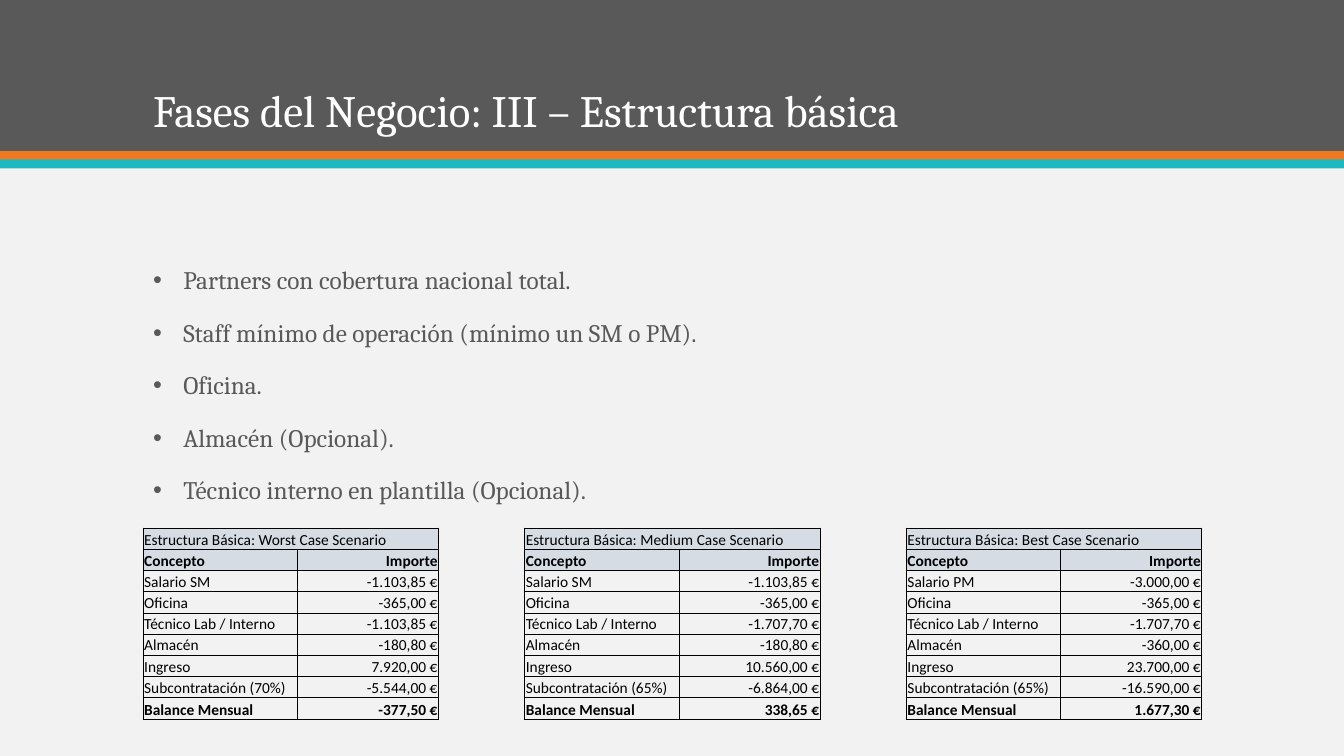
from dataclasses import dataclass
from typing import Any

from lxml import etree
from pptx import Presentation
from pptx import util as u
from pptx.dml.color import RGBColor
from pptx.enum import shapes, text
from pptx.oxml import ns

WHITE = RGBColor(0xFF, 0xFF, 0xFF)
BLACK = RGBColor(0, 0, 0)
GREY = RGBColor(0x59, 0x59, 0x59)
ORANGE = RGBColor(0xEF, 0x79, 0x20)
TEAL = RGBColor(0x1E, 0xB8, 0xC1)
PALE = RGBColor(0xF2, 0xF2, 0xF2)
BLUE = RGBColor(0xD6, 0xDC, 0xE4)

LEFT, WIDTH = 1.42, 10.5
COLS = (1.53, 1.4)
ROW, LAST = 0.21, 0.22
TOP = 5.24
STEP = (WIDTH - sum(COLS)) / 2
THIN, THICK = 0.5, 1

FRAME = {"word_wrap": True, "auto_size": text.MSO_AUTO_SIZE.NONE}
CELL = {
    "vertical_anchor": text.MSO_ANCHOR.BOTTOM,
    "margin_left": u.Inches(0.01),
    "margin_right": u.Inches(0.01),
    "margin_top": u.Inches(0.01),
    "margin_bottom": 0,
}


@dataclass
class Band:
    """A stripe across the head of the slide."""
    top: float
    height: float
    color: RGBColor


@dataclass
class Case:
    """One cost scenario and its amounts in euros."""
    name: str
    role: str
    share: int
    sums: tuple[str, ...]


BANDS = (Band(0, 1.5, GREY), Band(1.5, 0.09, ORANGE), Band(1.58, 0.09, TEAL))
POINTS = (
    "Partners con cobertura nacional total.",
    "Staff mínimo de operación (mínimo un SM o PM).",
    "Oficina.",
    "Almacén (Opcional).",
    "Técnico interno en plantilla (Opcional).",
)
CASES = (
    Case("Worst", "SM", 70, ("-1.103,85", "-365,00", "-1.103,85", "-180,80",
                             "7.920,00", "-5.544,00", "-377,50")),
    Case("Medium", "SM", 65, ("-1.103,85", "-365,00", "-1.707,70", "-180,80",
                              "10.560,00", "-6.864,00", "338,65")),
    Case("Best", "PM", 65, ("-3.000,00", "-365,00", "-1.707,70", "-360,00",
                            "23.700,00", "-16.590,00", "1.677,30")),
)


def style(item: Any, looks: dict[str, Any]) -> None:
    """Set each named attribute on the item."""
    for key, value in looks.items():
        setattr(item, key, value)


def write(par: Any, words: str, face: str, size: float, color: RGBColor,
          bold: bool = False) -> None:
    """Put one formatted run in a paragraph."""
    run = par.add_run()
    run.text = words
    style(run.font, {"name": face, "size": u.Pt(size), "bold": bold})
    run.font.color.rgb = color


def add_band(slide: Any, band: Band, width: int) -> None:
    """Draw a full-width stripe."""
    bar = slide.shapes.add_shape(shapes.MSO_SHAPE.RECTANGLE, 0, u.Inches(band.top),
                                 width, u.Inches(band.height))
    bar.shadow.inherit = False
    bar.fill.solid()
    bar.fill.fore_color.rgb = band.color
    bar.line.fill.background()


def add_frame(slide: Any, top: float, height: float, looks: dict[str, Any]) -> Any:
    """Add a text box in the main column and return its frame."""
    box = slide.shapes.add_textbox(u.Inches(LEFT), u.Inches(top),
                                   u.Inches(WIDTH), u.Inches(height))
    style(box.text_frame, FRAME | looks)
    return box.text_frame


def add_dot(par: Any) -> None:
    """Give a paragraph a hanging grey bullet."""
    props = par._p.get_or_add_pPr()
    props.set("marL", str(u.Inches(0.3)))
    props.set("indent", str(-u.Inches(0.3)))
    tint = etree.SubElement(props, ns.qn("a:buClr"))
    etree.SubElement(tint, ns.qn("a:srgbClr"), val=str(GREY))
    etree.SubElement(props, ns.qn("a:buFont"), typeface="Arial")
    etree.SubElement(props, ns.qn("a:buChar"), char="•")


def add_edges(cell: Any, sides: dict[str, float]) -> None:
    """Draw the cell borders, given as points per side in L, R, T, B order."""
    props = cell._tc.get_or_add_tcPr()
    for spot, (side, size) in enumerate(sides.items()):
        edge = etree.Element(ns.qn(f"a:ln{side}"), w=str(u.Pt(size)))
        fill = etree.SubElement(edge, ns.qn("a:solidFill"))
        etree.SubElement(fill, ns.qn("a:srgbClr"), val=str(BLACK))
        props.insert(spot, edge)


def add_case(slide: Any, case: Case, left: float) -> None:
    """Draw the table of one scenario."""
    names = (f"Salario {case.role}", "Oficina", "Técnico Lab / Interno", "Almacén",
             "Ingreso", f"Subcontratación ({case.share}%)", "Balance Mensual")
    rows = [(f"Estructura Básica: {case.name} Case Scenario", ""),
            ("Concepto", "Importe")]
    rows += [(name, f"{value} €") for name, value in zip(names, case.sums)]
    end = len(rows) - 1
    grid = slide.shapes.add_table(
        len(rows), len(COLS), u.Inches(left), u.Inches(TOP),
        u.Inches(sum(COLS)), u.Inches(ROW * end + LAST)).table
    style(grid, {"first_row": False, "horz_banding": False})
    for col, width in zip(grid.columns, COLS):
        col.width = u.Inches(width)
    for r, row in enumerate(rows):
        grid.rows[r].height = u.Inches(LAST if r == end else ROW)
        for c, words in enumerate(row):
            cell = grid.cell(r, c)
            style(cell, CELL)
            if r < 2:
                cell.fill.solid()
                cell.fill.fore_color.rgb = BLUE
            else:
                cell.fill.background()
            add_edges(cell, {
                "L": THIN if c else THICK,
                "R": THICK if c or r == 0 else THIN,
                "T": THIN if r else THICK,
                "B": THICK if r == end else THIN,
            })
            if words:
                par = cell.text_frame.paragraphs[0]
                par.alignment = text.PP_ALIGN.RIGHT if c else text.PP_ALIGN.LEFT
                write(par, words, "Calibri", 11, BLACK, r in (1, end))
    grid.cell(0, 0).merge(grid.cell(0, 1))


def main() -> None:
    """Build the slide and save it."""
    deck = Presentation()
    style(deck, {"slide_width": u.Inches(13.33), "slide_height": u.Inches(7.5)})
    slide = deck.slides.add_slide(deck.slide_layouts[6])
    slide.background.fill.solid()
    slide.background.fill.fore_color.rgb = PALE
    for band in BANDS:
        add_band(slide, band, deck.slide_width)

    title = add_frame(slide, 0.28, 1.13, {"vertical_anchor": text.MSO_ANCHOR.BOTTOM})
    head = title.paragraphs[0]
    head.line_spacing = 0.9
    write(head, "Fases del Negocio: III – Estructura básica", "Cambria", 32, WHITE)

    body = add_frame(slide, 2, 5.23, {"margin_top": u.Inches(0.66)})
    for i, point in enumerate(POINTS):
        par = body.add_paragraph() if i else body.paragraphs[0]
        style(par, {"line_spacing": 0.9, "space_before": u.Pt(18 if i else 0)})
        add_dot(par)
        write(par, point, "Cambria", 18, GREY)

    for i, case in enumerate(CASES):
        add_case(slide, case, LEFT + i * STEP)
    deck.save("out.pptx")


main()
